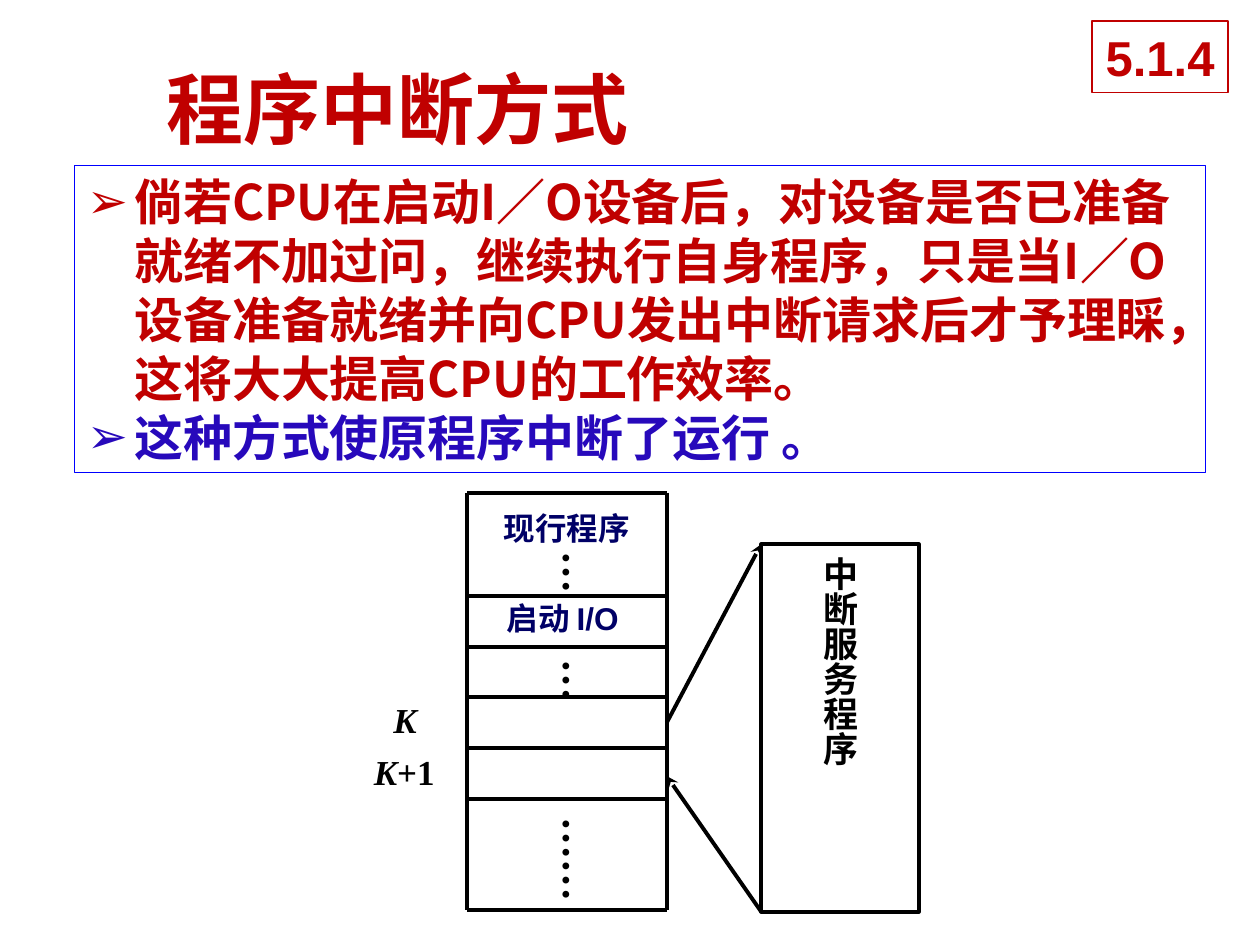
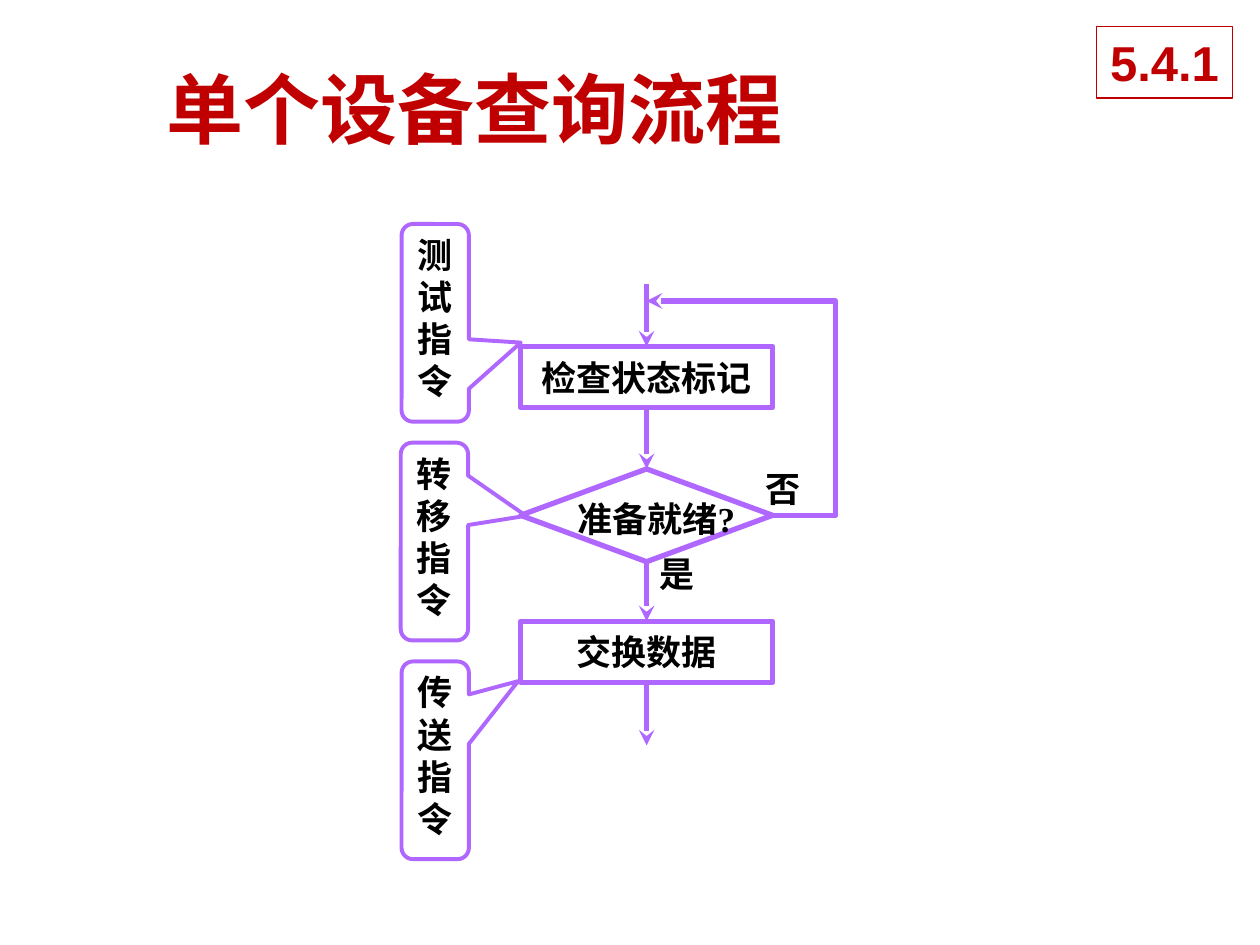
from lxml import etree
from pptx import Presentation
from pptx.dml import color
from pptx.enum import shapes, text
from pptx.oxml import ns
from pptx.util import Pt

RED = color.RGBColor(0xC0, 0x00, 0x00)
BLUE = color.RGBColor(0x00, 0x00, 0xFF)
INDIGO = color.RGBColor(0x27, 0x09, 0xBB)
NAVY = color.RGBColor(0x00, 0x00, 0x66)
PURPLE = color.RGBColor(0xAF, 0x67, 0xFF)
BLACK = color.RGBColor(0x00, 0x00, 0x00)
WHITE = color.RGBColor(0xFF, 0xFF, 0xFF)
CJK = "Noto Sans CJK SC"
SANS = "Arial"
SERIF = "Times New Roman"
RECT = shapes.MSO_SHAPE.RECTANGLE


def add_child(parent, tag, **attrs):
    child = etree.SubElement(parent, ns.qn(tag))
    for key, value in attrs.items():
        child.set(key, value)


def add_run(p, words, size=20, rgb=BLACK, font=SERIF, italic=False):
    r = p.add_run()
    r.text = words
    r.font.size = Pt(size)
    r.font.bold = True
    r.font.italic = italic
    r.font.color.rgb = rgb
    r.font.name = font
    rPr = r._r.get_or_add_rPr()
    rPr.set("lang", "zh-CN")
    add_child(rPr, "a:ea", typeface=CJK)


def place(sp, left, top, width, height):
    sp.left, sp.top = Pt(left), Pt(top)
    sp.width, sp.height = Pt(width), Pt(height)


def center_text(sp, *lines, vertical=False, anchor=text.MSO_ANCHOR.MIDDLE, **style):
    tf = sp.text_frame
    tf.word_wrap = False
    tf.vertical_anchor = anchor
    if vertical:
        tf._txBody.bodyPr.set("vert", "eaVert")
    for i, words in enumerate(lines):
        p = tf.add_paragraph() if i else tf.paragraphs[0]
        p.alignment = text.PP_ALIGN.CENTER
        add_run(p, words, **style)
    return tf


def add_label(s, words, left, top, width, height, **style):
    sp = s.shapes.add_textbox(Pt(left), Pt(top), Pt(width), Pt(height))
    return center_text(sp, words, **style)


def set_line(sp, rgb, weight, arrow=False):
    sp.line.color.rgb = rgb
    sp.line.width = Pt(weight)
    if arrow:
        add_child(sp._element.spPr.find(ns.qn("a:ln")), "a:tailEnd", type="stealth")


def add_outline(s, kind, left, top, width, height, rgb, weight, fill=None):
    sp = s.shapes.add_shape(kind, Pt(left), Pt(top), Pt(width), Pt(height))
    sp.shadow.inherit = False
    if fill is None:
        sp.fill.background()
    else:
        sp.fill.solid()
        sp.fill.fore_color.rgb = fill
    set_line(sp, rgb, weight)
    return sp


def add_line(s, x1, y1, x2, y2, rgb=BLACK, weight=2.25, arrow=False):
    c = s.shapes.add_connector(shapes.MSO_CONNECTOR.STRAIGHT, Pt(x1), Pt(y1), Pt(x2), Pt(y2))
    set_line(c, rgb, weight, arrow)
    add_child(c._element.spPr, "a:effectLst")
    return c


def add_slide(prs, layout, title, section, tag_left, tag_top):
    s = prs.slides.add_slide(prs.slide_layouts[layout])
    sp = s.shapes.title
    place(sp, 88, 31.5, 606, 60)
    tf = sp.text_frame
    tf.auto_size = text.MSO_AUTO_SIZE.NONE
    tf.vertical_anchor = text.MSO_ANCHOR.MIDDLE
    p = tf.paragraphs[0]
    p.alignment = text.PP_ALIGN.LEFT
    add_run(p, title, 44, RED, CJK)
    tag = add_outline(s, RECT, tag_left, tag_top, 77.8, 41, RED, 0.75, WHITE)
    center_text(tag, section, size=28, rgb=RED, font=SANS)
    return s


def add_bullets(s, items):
    sp = s.placeholders[1]
    place(sp, 42.5, 94.5, 646.5, 175.5)
    sp.fill.solid()
    sp.fill.fore_color.rgb = WHITE
    set_line(sp, BLUE, 0.75)
    tf = sp.text_frame
    tf.auto_size = text.MSO_AUTO_SIZE.NONE
    for i, (words, rgb) in enumerate(items):
        p = tf.add_paragraph() if i else tf.paragraphs[0]
        p.space_before = Pt(0)
        pPr = p._p.get_or_add_pPr()
        pPr.set("marL", str(Pt(27)))
        pPr.set("indent", str(Pt(-27)))
        add_child(pPr, "a:buChar", char="➢")
        add_run(p, words, 28, rgb, CJK)


def add_program_stack(s):
    left, right, top, bottom = 267, 381, 281.5, 520
    for y in [top, *(340.5 + 29 * i for i in range(5)), bottom]:
        add_line(s, left, y, right, y)
    for x in (left, right):
        add_line(s, x, top, x, bottom)
    add_label(s, "现行程序", 267, 287, 114, 29, size=18, rgb=NAVY, font=SANS)
    add_label(s, "启动 I/O", 264.5, 338.5, 114, 29, size=18, rgb=NAVY, font=SANS)
    for dots, y, height in (("…", 308, 32), ("…", 369.5, 32), ("……", 460, 55.5)):
        add_label(s, dots, 309.5, y, 44, height, vertical=True, size=24)
    add_label(s, "K", 217.5, 395.5, 28, 31, italic=True)
    next_row = add_label(s, "K", 206.5, 425.5, 49, 31, italic=True)
    add_run(next_row.paragraphs[0], "+1")


def add_service_routine(s):
    routine = add_outline(s, RECT, 435, 311, 90, 210, BLACK, 2.25)
    center_text(routine, "中断服务程序", vertical=True)
    add_line(s, 381, 413, 435, 311, arrow=True)
    add_line(s, 435, 521, 381, 443.5, arrow=True)


def add_step(s, kind, words, top, height):
    sp = add_outline(s, kind, 297.5, top, 144, height, PURPLE, 3)
    return sp, center_text(sp, words)


def add_flow(s, start, end):
    x = 369.5
    y1 = start.top.pt + start.height.pt if hasattr(start, "top") else start
    y2 = end.top.pt if hasattr(end, "top") else end
    c = add_line(s, x, y1, x, y2, PURPLE, 3, arrow=True)
    if hasattr(start, "top"):
        c.begin_connect(start, 2)
    if hasattr(end, "top"):
        c.end_connect(end, 0)


def add_retry_loop(s):
    corners = [(477.5, 294.5), (477.5, 172), (369.5, 172)]
    fb = s.shapes.build_freeform(Pt(441.5), Pt(294.5))
    fb.add_line_segments([(Pt(x), Pt(y)) for x, y in corners], close=False)
    sp = fb.convert_to_shape()
    sp.shadow.inherit = False
    sp.fill.background()
    set_line(sp, PURPLE, 3, arrow=True)


def add_callout(s, words, left, top, tip_x, tip_y):
    kind = shapes.MSO_SHAPE.ROUNDED_RECTANGULAR_CALLOUT
    sp = add_outline(s, kind, left, top, 38.5, 113, PURPLE, 2.25)
    for i, value in enumerate((tip_x, tip_y, 0.17)):
        sp.adjustments[i] = value
    center_text(sp, *words, anchor=text.MSO_ANCHOR.TOP)


def add_query_flow(s):
    check, _ = add_step(s, RECT, "检查状态标记", 198, 35)
    ready, tf = add_step(s, shapes.MSO_SHAPE.DIAMOND, "准备就绪?", 268, 53)
    tf.margin_left, tf.margin_right = Pt(11), Pt(0)
    tf.margin_top, tf.margin_bottom = Pt(4), Pt(0)
    exchange, _ = add_step(s, RECT, "交换数据", 355, 35)
    stops = [162, check, ready, exchange, 426]
    for start, end in zip(stops, stops[1:]):
        add_flow(s, start, end)
    add_retry_loop(s)
    add_label(s, "是", 369.5, 312.5, 34.5, 31)
    add_label(s, "否", 430, 263.5, 34.5, 31)
    add_callout(s, "测试指令", 229.5, 128, 1.27, 0.1)
    add_callout(s, "转移指令", 229, 253, 1.36, -0.13)
    add_callout(s, "传送指令", 229.5, 378, 1.23, -0.4)


def main():
    prs = Presentation()
    prs.slide_width, prs.slide_height = Pt(720), Pt(540)

    s = add_slide(prs, 1, "程序中断方式", "5.1.4", 624, 12)
    add_bullets(s, [
        ("倘若CPU在启动I／O设备后，对设备是否已准备就绪不加过问，继续执行自身程序，"
         "只是当I／O设备准备就绪并向CPU发出中断请求后才予理睬，"
         "这将大大提高CPU的工作效率。", RED),
        ("这种方式使原程序中断了运行 。", INDIGO),
    ])
    add_program_stack(s)
    add_service_routine(s)

    s = add_slide(prs, 5, "单个设备查询流程", "5.4.1", 626.5, 15)
    add_query_flow(s)

    prs.save("out.pptx")


if __name__ == "__main__":
    main()
